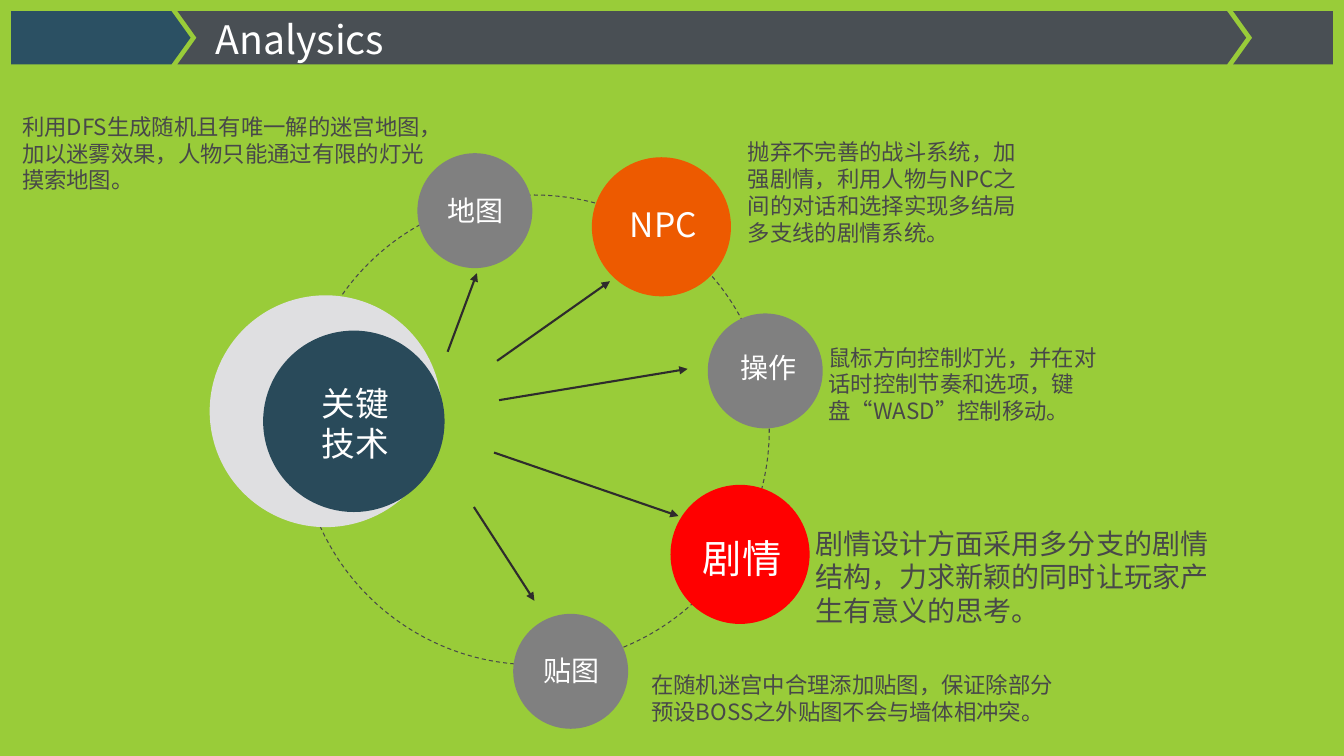
import pptx
import pptx.util
import pptx.dml.color
import pptx.enum.dml
import pptx.enum.shapes
import pptx.enum.text
import pptx.oxml.ns
from lxml import etree

FONT = "Noto Sans CJK SC"
COLORS = {
    "background": "99CC39", "banner_start": "2B5063", "banner": "494F54",
    "text": "484849", "white": "FFFFFF", "arrow": "2E2C2C",
    "halo": "DFDFE1", "hub": "294A5A",
    "gray": "808080", "orange": "ED5A00", "red": "FF0000",
}

# The grid has 75 rows of square cells; all lengths below count cells
SLIDE_HEIGHT = pptx.util.Inches(7.5)
SLIDE_WIDTH = pptx.util.Inches(13.33)
CELL = SLIDE_HEIGHT / 75

BANNER_TOP, BANNER_BOTTOM, BANNER_TIP = 1.1, 6.4, 1.9
# left, right, notched at left, pointed at right, colour
BANNER_PARTS = [
    (1.1, 17, False, True, "banner_start"),
    (17.6, 121.7, True, True, "banner"),
    (122.3, 132.2, True, False, "banner"),
]
# centre x, centre y, diameter, colour, label, label size, label centre
NODES = [
    (47.1, 20.9, 11.4, "gray", "地图", 20, (47.15, 21)),
    (65.6, 22.5, 13.8, "orange", "NPC", 24, (65.8, 22.4)),
    (75.9, 36.8, 11.4, "gray", "操作", 20, (76.25, 36.5)),
    (73.4, 55, 13.8, "red", "剧情", 28, (73.6, 55.55)),
    (56.6, 66.6, 11.4, "gray", "贴图", 20, (56.65, 66.6)),
]
# start x, start y, end x, end y
ARROWS = [
    (44.4, 34.9, 47.3, 27.1),
    (49.3, 35.8, 60.5, 27.9),
    (49.5, 39.7, 68.2, 36.6),
    (49, 44.9, 67.3, 51.2),
    (47, 50.3, 53, 59.6),
]
# left, top, width, height, size, text
NOTES = [
    (1.2, 10.7, 42.8, 9.1, 16,
     "利用DFS生成随机且有唯一解的迷宫地图，\n"
     "加以迷雾效果，人物只能通过有限的灯光摸索地图。"),
    (73.2, 13.2, 29.5, 11.8, 16,
     "抛弃不完善的战斗系统，加强剧情，利用人物与NPC之间的对话和选择"
     "实现多结局多支线的剧情系统。"),
    (81.2, 33.6, 29.5, 9.1, 16,
     "鼠标方向控制灯光，并在对话时控制节奏和选项，键盘“WASD”控制移动。"),
    (79.9, 51.7, 42.8, 11.1, 20,
     "剧情设计方面采用多分支的剧情结构，力求新颖的同时让玩家产生有意义的思考。"),
    (63.6, 66.1, 42.8, 6.4, 16,
     "在随机迷宫中合理添加贴图，保证除部分预设BOSS之外贴图不会与墙体相冲突。"),
]


def cells(*counts):
    return [pptx.util.Emu(round(count * CELL)) for count in counts]


def rgb(color):
    return pptx.dml.color.RGBColor.from_string(COLORS[color])


def paint(shape, color):
    shape.shadow.inherit = False
    shape.fill.solid()
    shape.fill.fore_color.rgb = rgb(color)
    shape.line.fill.background()


def add_banner_part(slide, left, right, notched, pointed, color):
    middle = (BANNER_TOP + BANNER_BOTTOM) / 2
    outline = [(left, BANNER_TOP), (right, BANNER_TOP)]
    if pointed:
        outline.append((right + BANNER_TIP, middle))
    outline += [(right, BANNER_BOTTOM), (left, BANNER_BOTTOM)]
    if notched:
        outline.append((left + BANNER_TIP, middle))
    start, *rest = [cells(*point) for point in outline]
    builder = slide.shapes.build_freeform(*start)
    builder.add_line_segments(rest, close=True)
    paint(builder.convert_to_shape(), color)


def add_words(slide, left, top, width, height, size, words,
              color="text", centered=False, wrap=True):
    box = slide.shapes.add_textbox(*cells(left, top, width, height))
    frame = box.text_frame
    frame.word_wrap = wrap
    frame.text = words
    for paragraph in frame.paragraphs:
        if centered:
            paragraph.alignment = pptx.enum.text.PP_ALIGN.CENTER
        for run in paragraph.runs:
            run.font.size = pptx.util.Pt(size)
            run.font.name = FONT
            run.font.color.rgb = rgb(color)
            east_asian = etree.SubElement(
                run.font._element, pptx.oxml.ns.qn("a:ea"))
            east_asian.set("typeface", FONT)


def add_circle(slide, x, y, diameter, color):
    circle = slide.shapes.add_shape(
        pptx.enum.shapes.MSO_SHAPE.OVAL,
        *cells(x - diameter / 2, y - diameter / 2, diameter, diameter))
    paint(circle, color)
    return circle


def add_orbit(slide, x, y, diameter):
    orbit = add_circle(slide, x, y, diameter, "background")
    orbit.fill.background()
    orbit.line.color.rgb = rgb("text")
    orbit.line.width = pptx.util.Pt(0)
    orbit.line.dash_style = pptx.enum.dml.MSO_LINE.DASH


def add_node(slide, x, y, diameter, color, label, size, label_center):
    add_circle(slide, x, y, diameter, color)
    width, height = 10.8, size / 5 + 0.5
    label_x, label_y = label_center
    add_words(slide, label_x - width / 2, label_y - height / 2,
              width, height, size, label, "white", centered=True)


def add_arrow(slide, *ends):
    arrow = slide.shapes.add_connector(
        pptx.enum.shapes.MSO_CONNECTOR.STRAIGHT, *cells(*ends))
    arrow.line.color.rgb = rgb("arrow")
    arrow.line.width = pptx.util.Pt(1.5)
    properties = arrow._element.spPr
    tip = etree.SubElement(
        arrow.line._get_or_add_ln(), pptx.oxml.ns.qn("a:tailEnd"))
    tip.set("type", "triangle")
    etree.SubElement(properties, pptx.oxml.ns.qn("a:effectLst"))


def main():
    deck = pptx.Presentation()
    deck.slide_width, deck.slide_height = SLIDE_WIDTH, SLIDE_HEIGHT
    slide = deck.slides.add_slide(deck.slide_layouts[6])
    slide.background.fill.solid()
    slide.background.fill.fore_color.rgb = rgb("background")

    # Banner and title
    for part in BANNER_PARTS:
        add_banner_part(slide, *part)
    add_words(slide, 20.4, 1, 19.2, 5.7, 28, "Analysics", "white", wrap=False)

    # Orbit and hub
    add_orbit(slide, 53, 42.65, 46.6)
    add_circle(slide, 32.3, 40.8, 23, "halo")
    add_circle(slide, 35.1, 41.8, 18, "hub")
    add_words(slide, 29.4, 37.5, 11.7, 9.1, 24, "关键技术", "white",
              centered=True)

    # Arrows, topics and their notes
    for arrow in ARROWS:
        add_arrow(slide, *arrow)
    for node in NODES:
        add_node(slide, *node)
    for note in NOTES:
        add_words(slide, *note)

    deck.save("out.pptx")


if __name__ == "__main__":
    main()
